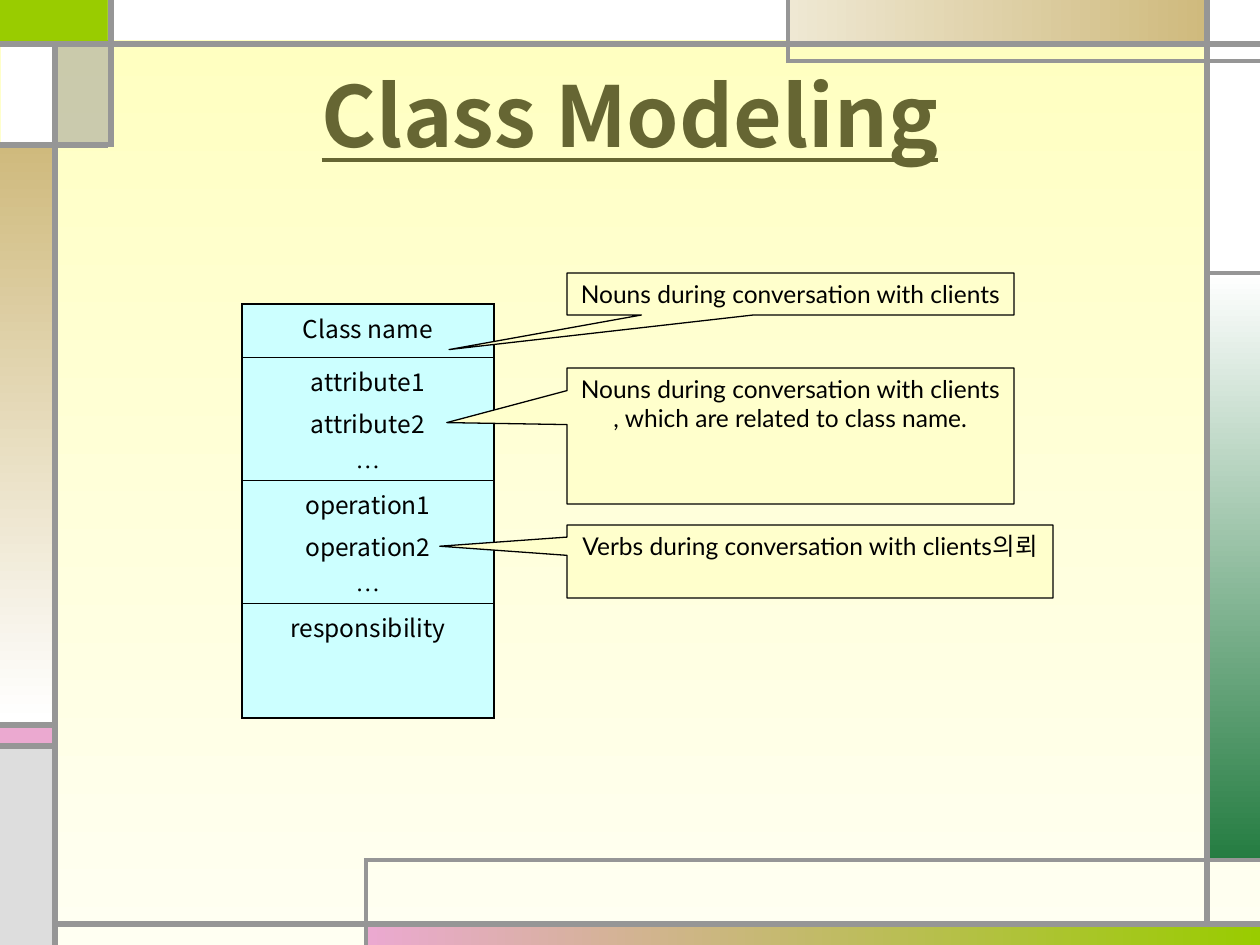
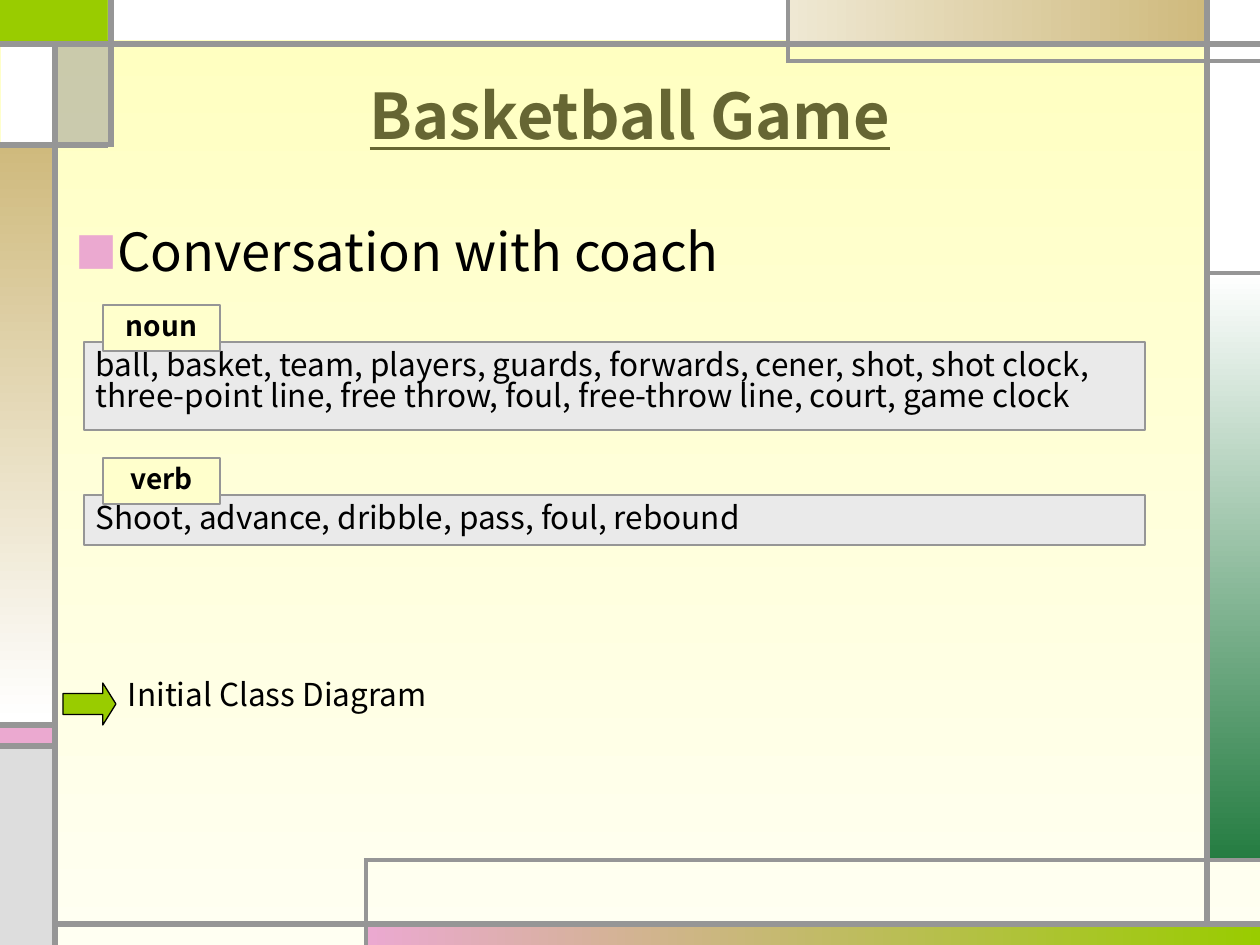
from dataclasses import dataclass

from lxml import etree
from pptx import Presentation
from pptx.dml.color import RGBColor
from pptx.enum.shapes import MSO_CONNECTOR, MSO_SHAPE
from pptx.enum.text import MSO_ANCHOR, PP_ALIGN
from pptx.oxml.ns import qn
from pptx.util import Emu, Pt

STRAIGHT = MSO_CONNECTOR.STRAIGHT
RECT = MSO_SHAPE.RECTANGLE
ARROW = MSO_SHAPE.RIGHT_ARROW
CALLOUT = MSO_SHAPE.RECTANGULAR_CALLOUT
TOP, MIDDLE = MSO_ANCHOR.TOP, MSO_ANCHOR.MIDDLE
LEFT, CENTER = PP_ALIGN.LEFT, PP_ALIGN.CENTER

SCALE = 914400 / 126
SANS, LATO, SERIF = "Noto Sans CJK KR", "Lato", "Times New Roman"
DOTS = "…"
TIGHT = 0.83

COLORS = {
    "black": "000000", "white": "FFFFFF", "gray": "969696",
    "silver": "DDDDDD", "pale": "EAEAEA", "lime": "99CC00",
    "green": "247C41", "pink": "EBA9D0", "tan": "CFBA7D",
    "sand": "EFE8D3", "olive": "666633", "cream": "FFFFCC",
    "cyan": "CCFFFF", "lemon": "FFFFBF", "milk": "FFFFF2",
}


@dataclass(frozen=True)
class Box:
    left: int
    top: int
    width: int
    height: int


@dataclass(frozen=True)
class Band:
    box: Box
    color: str
    blend: str = ""
    angle: int = 0
    alpha: int = 100


@dataclass(frozen=True)
class Rule:
    x1: int
    y1: int
    x2: int
    y2: int
    width: float = 3


@dataclass(frozen=True)
class Style:
    size: int
    font: str = SANS
    color: str = "black"
    bold: bool = False
    under: bool = False
    align: int = CENTER
    space: float = 1
    before: float = 0


@dataclass(frozen=True)
class Note:
    box: Box
    tip: tuple[float, float]
    text: str


@dataclass(frozen=True)
class Group:
    label: str
    top: int
    height: int
    words: str


BANDS = [
    Band(Box(0, 0, 109, 43), "lime"),
    Band(Box(368, 924, 892, 21), "pink", "lime"),
    Band(Box(1207, 273, 53, 588), "white", "green", 270),
    Band(Box(0, 725, 53, 21), "pink"),
    Band(Box(0, 747, 53, 198), "silver"),
    Band(Box(1207, 0, 53, 273), "white"),
    Band(Box(788, 0, 419, 42), "sand", "tan"),
    Band(Box(58, 42, 53, 103), "gray", alpha=50),
    Band(Box(0, 145, 53, 577), "tan", "white", 270),
    Band(Box(1, 42, 53, 103), "white"),
    Band(Box(108, 0, 680, 40), "white"),
]
RULES = [
    Rule(55, 945, 55, 42), Rule(55, 924, 1260, 924),
    Rule(1207, 924, 1207, 0), Rule(0, 44, 1260, 44),
    Rule(1260, 61, 788, 61, 2.25), Rule(788, 63, 788, 0, 2.25),
    Rule(1207, 273, 1260, 273, 2.25), Rule(111, 0, 111, 147),
    Rule(108, 145, 0, 145), Rule(366, 945, 366, 859, 2.25),
    Rule(364, 860, 1260, 860, 2.25), Rule(58, 725, 0, 725),
    Rule(58, 746, 0, 746),
]
ROWS = [
    (53, "Class name"),
    (123, "attribute1\nattribute2\n…"),
    (123, "operation1\noperation2\n…"),
    (115, "responsibility"),
]
NOUNS = "Nouns during conversation with clients"
NOTES = [
    Note(Box(567, 525, 486, 73), (-0.762, -0.208),
         "Verbs during conversation with clients의뢰"),
    Note(Box(567, 368, 447, 136), (-0.769, -0.098),
         NOUNS + "\n, which are related to class name."),
    Note(Box(567, 273, 447, 42), (-0.764, 1.323), NOUNS),
]
GROUPS = [
    Group("noun", 305, 88,
          "ball, basket, team, players, guards, forwards, cener, shot, "
          "shot clock, three-point line, free throw, foul, free-throw line, "
          "court, game clock"),
    Group("verb", 458, 50, "Shoot, advance, dribble, pass, foul, rebound"),
]

CELL = Style(14, before=3.5)
NOTE = Style(14, LATO)
LABEL = Style(16, bold=True, space=TIGHT)
WORDS = Style(18, align=LEFT, space=TIGHT)
HEAD = Style(30, align=LEFT)


def px(size: int) -> Emu:
    return Emu(round(size * SCALE))


def place(box: Box) -> tuple:
    return px(box.left), px(box.top), px(box.width), px(box.height)


def rgb(name: str) -> RGBColor:
    return RGBColor.from_string(COLORS[name])


def blend(fill, start: str, end: str, angle: int) -> None:
    fill.gradient()
    fill.gradient_angle = angle
    for stop, name in zip(fill.gradient_stops, (start, end)):
        stop.color.rgb = rgb(name)


def paint(fill, name: str) -> None:
    fill.solid()
    fill.fore_color.rgb = rgb(name)


def write(frame, text: str, style: Style) -> None:
    frame.text = text
    for rank, para in enumerate(frame.paragraphs):
        para.alignment = style.align
        para.line_spacing = style.space
        if rank:
            para.space_before = Pt(style.before)
        for run in para.runs:
            font = run.font
            font.name = SERIF if run.text == DOTS else style.font
            font.size = Pt(style.size)
            font.color.rgb = rgb(style.color)
            font.bold = style.bold
            font.underline = style.under
            if run.text != DOTS:
                latin = run._r.rPr.find(qn("a:latin"))
                east = etree.Element(qn("a:ea"), typeface=SANS)
                latin.addnext(east)


def draw(slide, kind: int, box: Box, fill: str, line: str = ""):
    shape = slide.shapes.add_shape(kind, *place(box))
    shape.shadow.inherit = False
    paint(shape.fill, fill)
    if line:
        shape.line.color.rgb = rgb(line)
        shape.line.width = Pt(0.75)
    else:
        shape.line.fill.background()
    return shape


def pad(frame, top: int = 6) -> None:
    frame.margin_left = frame.margin_right = px(12)
    frame.margin_top = px(top)
    frame.margin_bottom = px(6)
    frame.vertical_anchor = TOP


def put(slide, box: Box, text: str, style: Style, wrap: bool = True):
    frame = slide.shapes.add_textbox(*place(box)).text_frame
    frame.word_wrap = wrap
    write(frame, text, style)
    return frame


def band(slide, item: Band) -> None:
    shape = draw(slide, RECT, item.box, item.color)
    if item.blend:
        blend(shape.fill, item.color, item.blend, item.angle)
    if item.alpha < 100:
        color = shape._element.spPr.find(".//" + qn("a:srgbClr"))
        etree.SubElement(color, qn("a:alpha"), val=str(item.alpha * 1000))


def rule(slide, item: Rule) -> None:
    ends = (px(item.x1), px(item.y1), px(item.x2), px(item.y2))
    line = slide.shapes.add_connector(STRAIGHT, *ends)
    line.line.color.rgb = rgb("gray")
    line.line.width = Pt(item.width)
    etree.SubElement(line._element.spPr, qn("a:effectLst"))


def start(deck, title: str, size: int):
    slide = deck.slides.add_slide(deck.slide_layouts[6])
    blend(slide.background.fill, "lemon", "milk", 270)
    for item in BANDS:
        band(slide, item)
    for item in RULES:
        rule(slide, item)
    style = Style(size, color="olive", bold=True, under=True)
    frame = put(slide, Box(63, 35, 1134, 158), title, style)
    frame.vertical_anchor = MIDDLE
    return slide


def border(cell, first: bool, last: bool) -> None:
    props = cell._tc.get_or_add_tcPr()
    sides = {"lnL": True, "lnR": True, "lnT": first, "lnB": last}
    for side, outer in sides.items():
        width = Pt(1.08 if outer else 0.45)
        line = etree.SubElement(props, qn("a:" + side), w=str(width))
        fill = etree.SubElement(line, qn("a:solidFill"))
        etree.SubElement(fill, qn("a:srgbClr"), val=COLORS["black"])


def grid(slide) -> None:
    box = Box(242, 304, 252, sum(height for height, _ in ROWS))
    table = slide.shapes.add_table(len(ROWS), 1, *place(box)).table
    table.first_row = table.horz_banding = False
    for rank, (height, text) in enumerate(ROWS):
        table.rows[rank].height = px(height)
        cell = table.cell(rank, 0)
        border(cell, rank == 0, rank == len(ROWS) - 1)
        paint(cell.fill, "cyan")
        write(cell.text_frame, text, CELL)


def note(slide, item: Note) -> None:
    shape = draw(slide, CALLOUT, item.box, "cream", "black")
    shape.adjustments[0], shape.adjustments[1] = item.tip
    pad(shape.text_frame)
    shape.text_frame.word_wrap = False
    write(shape.text_frame, item.text, NOTE)


def group(slide, item: Group) -> None:
    body = Box(84, item.top + 37, 1061, item.height)
    tab = Box(103, item.top, 117, 46)
    for box, fill, text, style in (
        (body, "pale", item.words, WORDS),
        (tab, "cream", item.label, LABEL),
    ):
        shape = draw(slide, RECT, box, fill, "gray")
        pad(shape.text_frame, 9)
        write(shape.text_frame, text, style)


def bullet(para, name: str) -> None:
    props = para._p.get_or_add_pPr()
    props.set("marL", str(px(26)))
    props.set("indent", str(-px(26)))
    color = etree.SubElement(props, qn("a:buClr"))
    etree.SubElement(color, qn("a:srgbClr"), val=COLORS[name])
    etree.SubElement(props, qn("a:buSzPct"), val="80000")
    etree.SubElement(props, qn("a:buFont"), typeface=SANS)
    etree.SubElement(props, qn("a:buChar"), char="■")


def model(deck) -> None:
    slide = start(deck, "Class Modeling", 48)
    grid(slide)
    for item in NOTES:
        note(slide, item)


def game(deck) -> None:
    slide = start(deck, "Basketball Game", 36)
    frame = put(slide, Box(63, 213, 1134, 90), "Conversation with coach", HEAD)
    bullet(frame.paragraphs[0], "pink")
    for item in GROUPS:
        group(slide, item)
    arrow = draw(slide, ARROW, Box(63, 683, 53, 42), "lime", "black")
    arrow.adjustments[1] = 0.312
    frame = put(slide, Box(116, 672, 329, 50), "Initial Class Diagram",
                WORDS, False)
    pad(frame, 9)


def main() -> None:
    deck = Presentation()
    deck.slide_width, deck.slide_height = px(1260), px(945)
    model(deck)
    game(deck)
    deck.save("out.pptx")


if __name__ == "__main__":
    main()
